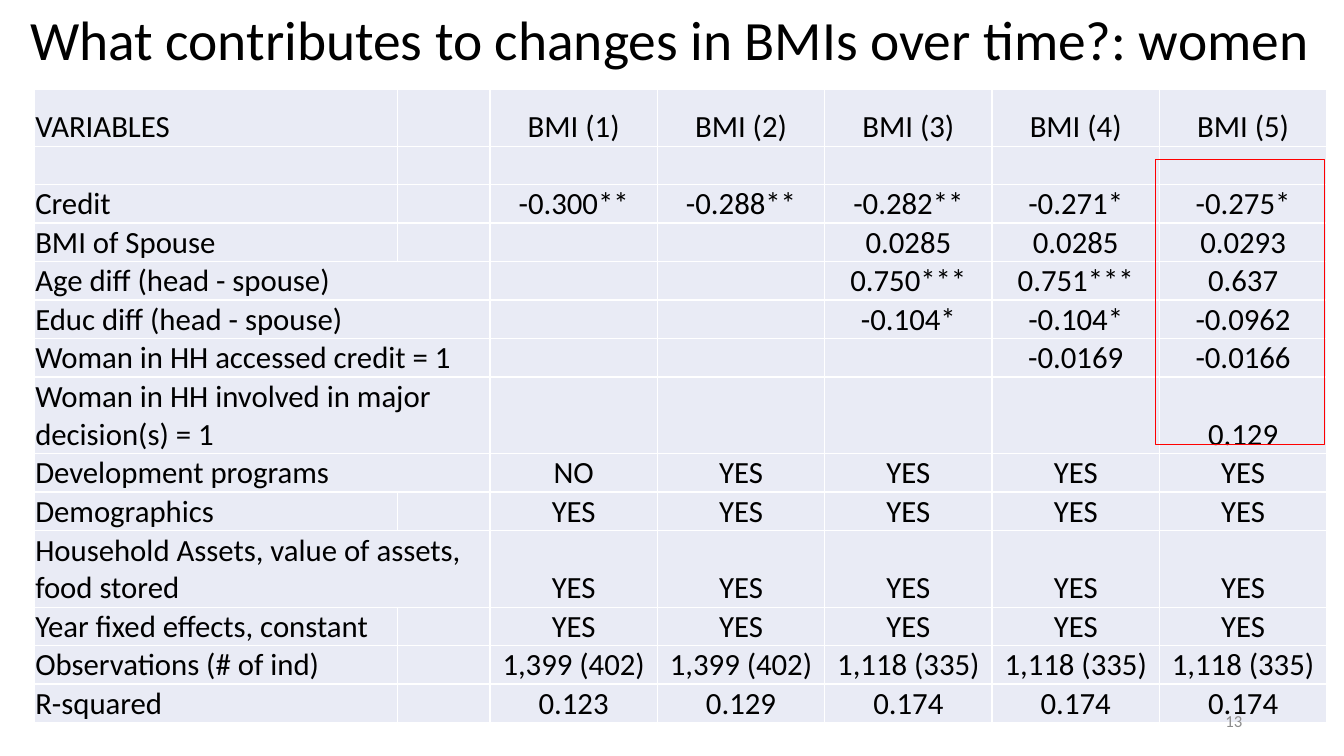
"""Build the slide with the regression table on women's BMI changes over time."""
import lxml.etree
import pptx
import pptx.dml.color
import pptx.enum.shapes
import pptx.enum.text
import pptx.oxml.ns
import pptx.util

PX = 9144
ALIGN = pptx.enum.text.PP_ALIGN
ANCHOR = pptx.enum.text.MSO_ANCHOR


def color(value):
    """Turn a hex string into a colour."""
    return pptx.dml.color.RGBColor.from_string(value)


def write(paragraph, text, size, hex_color, alignment):
    """Put one formatted run into a paragraph."""
    paragraph.alignment = alignment
    run = paragraph.add_run()
    run.text = text
    formats = {"name": "Calibri", "size": pptx.util.Pt(size)}
    for name, value in formats.items():
        setattr(run.font, name, value)
    run.font.color.rgb = color(hex_color)


presentation = pptx.Presentation()
presentation.slide_width = 1333 * PX
presentation.slide_height = 750 * PX
slide = presentation.slides.add_slide(presentation.slide_layouts[5])

title = slide.shapes.title
title_box = {"left": 20, "top": 0, "width": 1313, "height": 145}
for name, value in title_box.items():
    setattr(title, name, value * PX)
title_frame = title.text_frame
title_format = {
    "auto_size": pptx.enum.text.MSO_AUTO_SIZE.NONE,
    "word_wrap": True,
    "vertical_anchor": ANCHOR.MIDDLE,
    "margin_bottom": 66 * PX,
}
for name, value in title_format.items():
    setattr(title_frame, name, value)
title_frame.paragraphs[0].line_spacing = 0.9
write(title_frame.paragraphs[0], "What contributes to changes in BMIs over time?: women",
      39.6, "000000", ALIGN.LEFT)

YES = ["YES"] * 5
rows = [
    ("VARIABLES", [f"BMI ({number})" for number in range(1, 6)]),
    ("", [""] * 5),
    ("Credit", ["-0.300**", "-0.288**", "-0.282**", "-0.271*", "-0.275*"]),
    ("BMI of Spouse", ["", "", "0.0285", "0.0285", "0.0293"]),
    ("Age diff (head - spouse)", ["", "", "0.750***", "0.751***", "0.637"]),
    ("Educ diff (head - spouse)", ["", "", "-0.104*", "-0.104*", "-0.0962"]),
    ("Woman in HH accessed credit = 1", ["", "", "", "-0.0169", "-0.0166"]),
    ("Woman in HH involved in major decision(s) = 1", ["", "", "", "", "0.129"]),
    ("Development programs", ["NO"] + YES[1:]),
    ("Demographics", YES),
    ("Household Assets, value of assets, food stored", YES),
    ("Year fixed effects, constant", YES),
    ("Observations (# of ind)", ["1,399 (402)"] * 2 + ["1,118 (335)"] * 3),
    ("R-squared", ["0.123", "0.129", "0.174", "0.174", "0.174"]),
]
column_widths = [360, 92] + [166] * 5
row_heights = [56] + [38] * 13
merged_rows = (4, 5, 6, 7, 8, 10)
for tall_row in (7, 10):
    row_heights[tall_row] = 76

table = slide.shapes.add_table(
    len(rows), len(column_widths), 34 * PX, 89 * PX,
    sum(column_widths) * PX, sum(row_heights) * PX).table
table.first_row = False
table.horz_banding = False
for column, width in zip(table.columns, column_widths):
    column.width = width * PX
for row, height in zip(table.rows, row_heights):
    row.height = height * PX

cell_format = {
    "margin_left": PX, "margin_right": PX, "margin_top": PX, "margin_bottom": 0,
    "vertical_anchor": ANCHOR.BOTTOM,
}
for row_index, (label, values) in enumerate(rows):
    for column_index, text in enumerate([label, ""] + values):
        cell = table.cell(row_index, column_index)
        for name, value in cell_format.items():
            setattr(cell, name, value)
        properties = cell._tc.get_or_add_tcPr()
        for side in ("lnL", "lnR", "lnT", "lnB"):
            border = lxml.etree.SubElement(properties, pptx.oxml.ns.qn(f"a:{side}"), w="12700")
            border_fill = lxml.etree.SubElement(border, pptx.oxml.ns.qn("a:solidFill"))
            lxml.etree.SubElement(border_fill, pptx.oxml.ns.qn("a:srgbClr"), val="FFFFFF")
        cell.fill.solid()
        cell.fill.fore_color.rgb = color("E9EBF5")
        if text:
            alignment = ALIGN.CENTER if column_index else ALIGN.LEFT
            write(cell.text_frame.paragraphs[0], text, 22, "000000", alignment)
    if row_index in merged_rows:
        table.cell(row_index, 0).merge(table.cell(row_index, 1))

highlight = slide.shapes.add_shape(
    pptx.enum.shapes.MSO_SHAPE.RECTANGLE, 1146 * PX, 158 * PX, 168 * PX, 283 * PX)
highlight.shadow.inherit = False
highlight.fill.background()
highlight.line.color.rgb = color("FF0000")
highlight.line.width = pptx.util.Pt(0.75)

page_number = slide.shapes.add_textbox(942 * PX, 695 * PX, 300 * PX, 40 * PX)
page_number.text_frame.word_wrap = True
page_number.text_frame.vertical_anchor = ANCHOR.MIDDLE
write(page_number.text_frame.paragraphs[0], "13", 12, "8C8C8C", ALIGN.RIGHT)

presentation.save("out.pptx")
